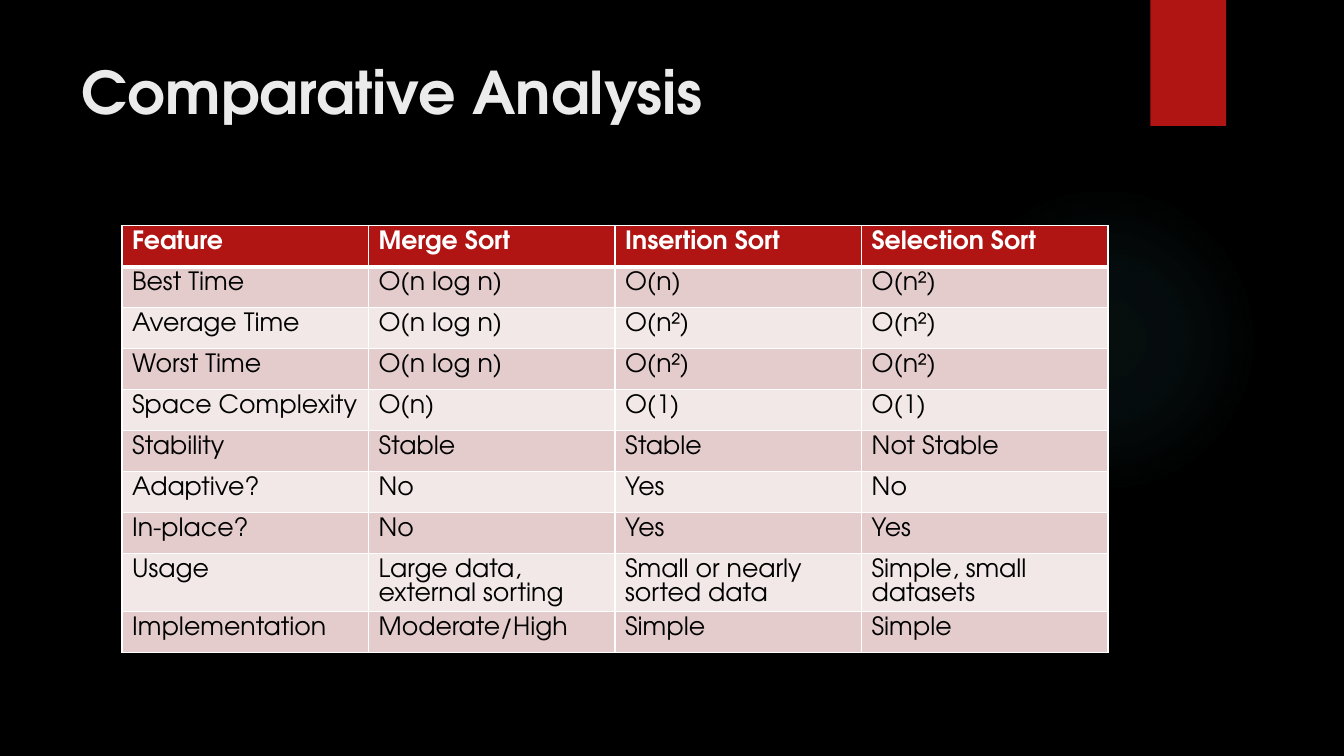
from dataclasses import dataclass

from lxml import etree
from pptx import Presentation
from pptx.dml.color import RGBColor
from pptx.enum.shapes import MSO_SHAPE
from pptx.enum.text import MSO_ANCHOR, PP_ALIGN
from pptx.oxml import parse_xml
from pptx.oxml.ns import nsdecls, qn
from pptx.util import Inches, Pt


@dataclass(frozen=True)
class Theme:
    font: str = "TeX Gyre Adventor"
    background: str = "000000"
    accent: str = "B01513"
    glow: str = "50B9C1"
    title: str = "EBEBEB"
    header_text: str = "FFFFFF"
    body_text: str = "000000"
    border: str = "FFFFFF"
    bands: tuple = ("E4CCCC", "F2E8E7")
    title_size: int = 42
    table_size: int = 18
    table_leading: int = 17
    thin: int = 1
    thick: int = 3


class SlideBuilder:
    def __init__(self, prs, theme):
        self.prs, self.theme = prs, theme
        self.slide = prs.slides.add_slide(prs.slide_layouts[5])
        self.paint(self.slide.background.fill, theme.background)

    def box(self, left, top, width, height):
        col, row = self.prs.slide_width / 100, self.prs.slide_height / 100
        return [round(n) for n in (left * col, top * row, width * col, height * row)]

    def paint(self, fill, color):
        fill.solid()
        fill.fore_color.rgb = RGBColor.from_string(color)

    def style(self, p, size, color, bold):
        p.alignment = PP_ALIGN.LEFT
        for r in p.runs:
            r.font.name = self.theme.font
            r.font.size = Pt(size)
            r.font.bold = bold
            r.font.color.rgb = RGBColor.from_string(color)

    def title(self, text, *area):
        sp = self.slide.shapes.title
        sp.left, sp.top, sp.width, sp.height = self.box(*area)
        tf = sp.text_frame
        tf.text = text
        tf.word_wrap = True
        tf.vertical_anchor = MSO_ANCHOR.TOP
        self.style(tf.paragraphs[0], self.theme.title_size, self.theme.title, True)

    def shape(self, kind, color, *area):
        sp = self.slide.shapes.add_shape(kind, *self.box(*area))
        sp.shadow.inherit = False
        sp.line.fill.background()
        self.paint(sp.fill, color)
        return sp

    def glow(self, stops, *area):
        sp = self.shape(MSO_SHAPE.OVAL, self.theme.glow, *area)
        gs = "".join(
            f'<a:gs pos="{pos * 1000}"><a:srgbClr val="{self.theme.glow}">'
            f'<a:alpha val="{alpha * 1000}"/></a:srgbClr></a:gs>'
            for pos, alpha in stops
        )
        gradient = parse_xml(
            f'<a:gradFill {nsdecls("a")}><a:gsLst>{gs}</a:gsLst><a:path path="circle">'
            '<a:fillToRect l="50000" t="50000" r="50000" b="50000"/></a:path></a:gradFill>'
        )
        spPr = sp.element.spPr
        spPr.replace(spPr.find(qn("a:solidFill")), gradient)

    def borders(self, cell, top, bottom):
        tcPr = cell._tc.get_or_add_tcPr()
        thin = self.theme.thin
        for side, width in (("L", thin), ("R", thin), ("T", top), ("B", bottom)):
            ln = etree.SubElement(tcPr, qn(f"a:ln{side}"), w=str(Pt(width)))
            fill = etree.SubElement(ln, qn("a:solidFill"))
            etree.SubElement(fill, qn("a:srgbClr"), val=self.theme.border)

    def table(self, rows, *area):
        t = self.theme
        box = self.box(*area)
        table = self.slide.shapes.add_table(len(rows), len(rows[0]), *box).table
        for i, row in enumerate(rows):
            header = i == 0
            fill = t.accent if header else t.bands[(i - 1) % 2]
            color = t.header_text if header else t.body_text
            for j, text in enumerate(row):
                cell = table.cell(i, j)
                self.borders(cell, t.thick if i == 1 else t.thin, t.thick if header else t.thin)
                self.paint(cell.fill, fill)
                cell.text_frame.text = text
                p = cell.text_frame.paragraphs[0]
                p.line_spacing = Pt(t.table_leading)
                self.style(p, t.table_size, color, header)


ROWS = [
    ("Feature", "Merge Sort", "Insertion Sort", "Selection Sort"),
    ("Best Time", "O(n log n)", "O(n)", "O(n²)"),
    ("Average Time", "O(n log n)", "O(n²)", "O(n²)"),
    ("Worst Time", "O(n log n)", "O(n²)", "O(n²)"),
    ("Space Complexity", "O(n)", "O(1)", "O(1)"),
    ("Stability", "Stable", "Stable", "Not Stable"),
    ("Adaptive?", "No", "Yes", "No"),
    ("In-place?", "No", "Yes", "Yes"),
    ("Usage", "Large data, external sorting", "Small or nearly sorted data", "Simple, small datasets"),
    ("Implementation", "Moderate/High", "Simple", "Simple"),
]


def main():
    prs = Presentation()
    prs.slide_width, prs.slide_height = Inches(13.33), Inches(7.5)
    theme = Theme()
    s = SlideBuilder(prs, theme)
    s.glow([(0, 7), (36, 6), (69, 0)], 70.6, 24.4, 23.1, 41.07)
    s.shape(MSO_SHAPE.RECTANGLE, theme.accent, 85.6, 0, 5.63, 16.67)
    s.title("Comparative Analysis", 5.33, 6.67, 77.2, 20.4)
    s.table(ROWS, 9.08, 29.87, 73.37, 54.2)
    prs.save("out.pptx")


if __name__ == "__main__":
    main()
